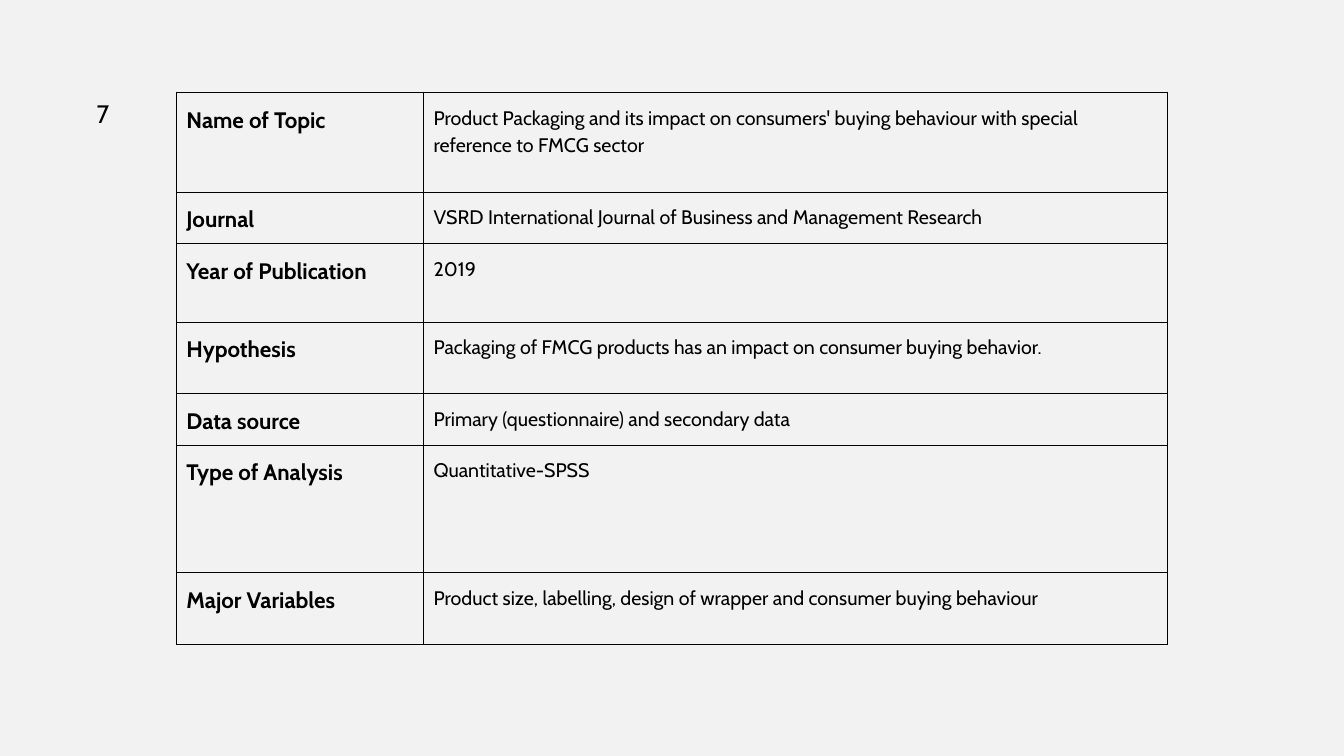
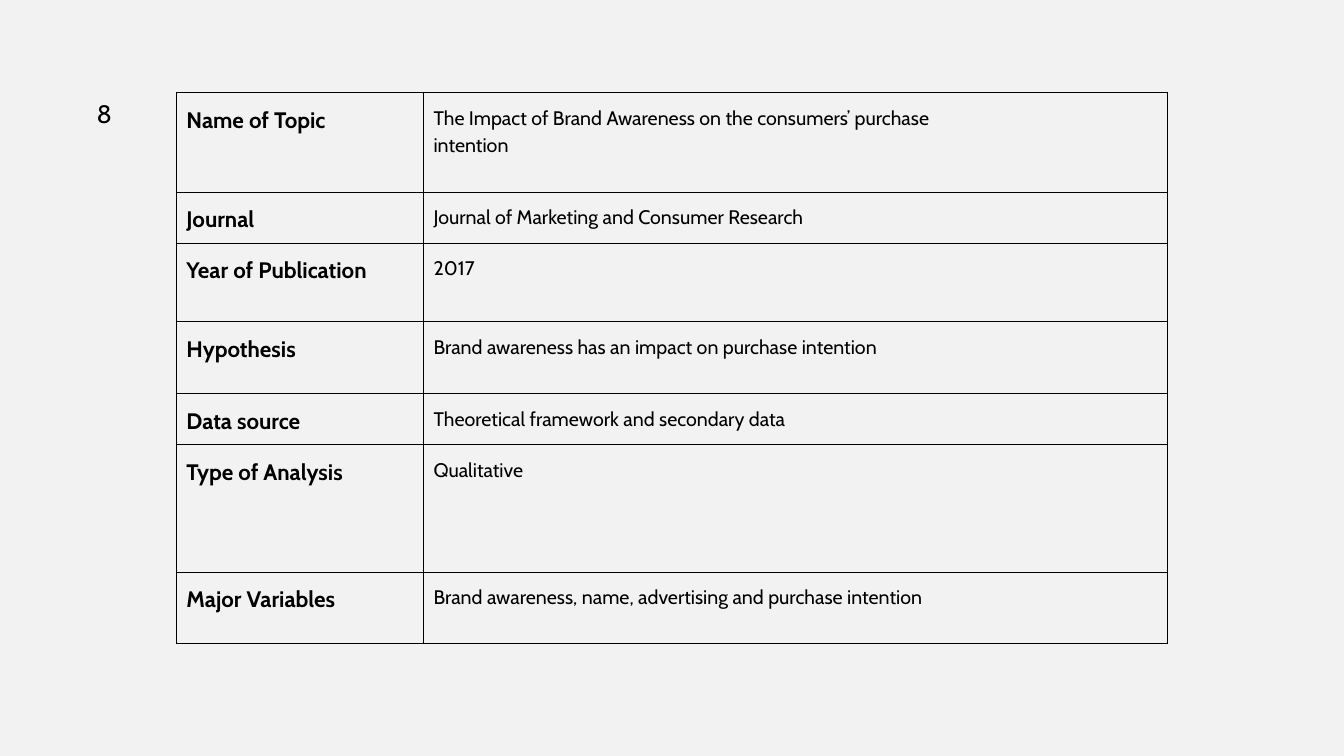
from lxml import etree
from pptx import Presentation
from pptx.dml.color import RGBColor
from pptx.enum import text
from pptx.oxml import ns
from pptx.util import Pt

COLORS = {"background": "F2F2F2", "ink": "000000"}
FONT = "Cabin"
INSET = 7.2
LABELS = ["Name of Topic", "Journal", "Year of Publication", "Hypothesis",
          "Data source", "Type of Analysis", "Major Variables"]
COL_WIDTHS = [176.5, 531.5]
ROW_HEIGHTS = [71.25, 33.75, 56.25, 51.25, 33.75, 91, 51.25]

# Each study: its number, then one value per label
STUDIES = [
    ("7", [
        "Product Packaging and its impact on consumers' buying behaviour "
        "with special reference to FMCG sector",
        "VSRD International Journal of Business and Management Research",
        "2019",
        "Packaging of FMCG products has an impact on consumer buying behavior.",
        "Primary (questionnaire) and secondary data",
        "Quantitative-SPSS",
        "Product size, labelling, design of wrapper and consumer buying behaviour",
    ]),
    ("8", [
        "The Impact of Brand Awareness on the consumers’ purchase\nintention",
        "Journal of Marketing and Consumer Research",
        "2017",
        "Brand awareness has an impact on purchase intention",
        "Theoretical framework and secondary data",
        "Qualitative",
        "Brand awareness, name, advertising and purchase intention",
    ]),
]


def rgb(name):
    return RGBColor.from_string(COLORS[name])


class Deck:
    def __init__(self):
        self.prs = Presentation()
        self.prs.slide_width, self.prs.slide_height = Pt(960), Pt(540)
        fill = self.prs.slide_master.background.fill
        fill.solid()
        fill.fore_color.rgb = rgb("background")
        self.s = None

    def add_slide(self):
        self.s = self.prs.slides.add_slide(self.prs.slide_layouts[6])

    def set_text(self, tf, content, size, bold=False, spacing=None):
        tf.text = content
        for p in tf.paragraphs:
            p.line_spacing = spacing
            for r in p.runs:
                r.font.name, r.font.size, r.font.bold = FONT, Pt(size), bold
                r.font.color.rgb = rgb("ink")

    def number(self, content, left, top):
        sp = self.s.shapes.add_textbox(Pt(left), Pt(top), Pt(24), Pt(29))
        tf = sp.text_frame
        tf.word_wrap = False
        tf.auto_size = text.MSO_AUTO_SIZE.SHAPE_TO_FIT_TEXT
        self.set_text(tf, content, 18)

    def borders(self, cell, width=0.75):
        tc_pr = cell._tc.get_or_add_tcPr()
        for i, side in enumerate(("lnL", "lnR", "lnT", "lnB")):
            ln = etree.Element(ns.qn("a:" + side), w=str(Pt(width)))
            fill = etree.SubElement(ln, ns.qn("a:solidFill"))
            etree.SubElement(fill, ns.qn("a:srgbClr"), val=COLORS["ink"])
            tc_pr.insert(i, ln)

    def cell(self, cell, content, size, bold):
        cell.margin_left = cell.margin_right = Pt(INSET)
        cell.margin_top = cell.margin_bottom = Pt(INSET)
        cell.fill.background()
        self.borders(cell)
        self.set_text(cell.text_frame, content, size, bold, 1.15)

    def table(self, values, left, top):
        frame = self.s.shapes.add_table(
            len(LABELS), len(COL_WIDTHS), Pt(left), Pt(top),
            Pt(sum(COL_WIDTHS)), Pt(sum(ROW_HEIGHTS)))
        table = frame.table
        table.first_row = table.horz_banding = False
        for column, width in zip(table.columns, COL_WIDTHS):
            column.width = Pt(width)
        for row, height, label, value in zip(table.rows, ROW_HEIGHTS, LABELS, values):
            row.height = Pt(height)
            self.cell(row.cells[0], label, 16, True)
            self.cell(row.cells[1], value, 14, False)


def main():
    deck = Deck()
    for number, values in STUDIES:
        deck.add_slide()
        deck.table(values, 126, 66)
        deck.number(number, 62, 67)
    deck.prs.save("out.pptx")


if __name__ == "__main__":
    main()
